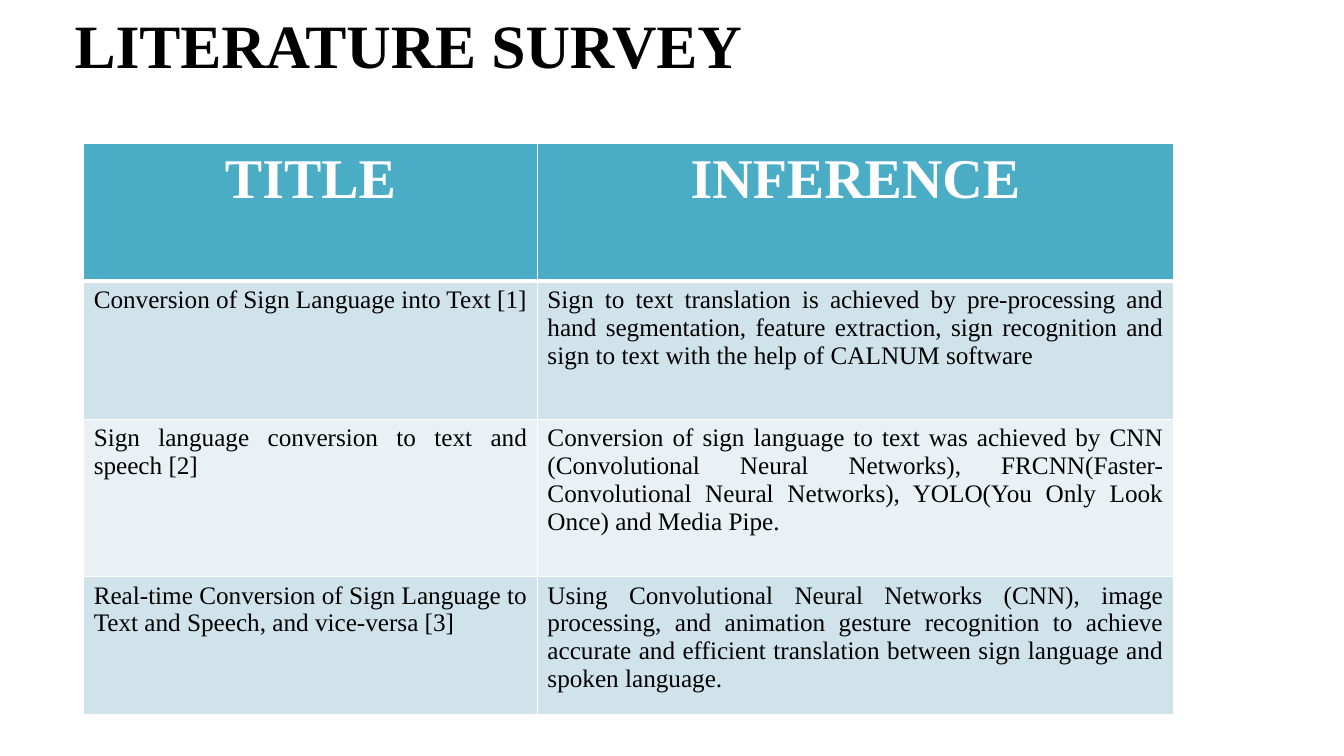
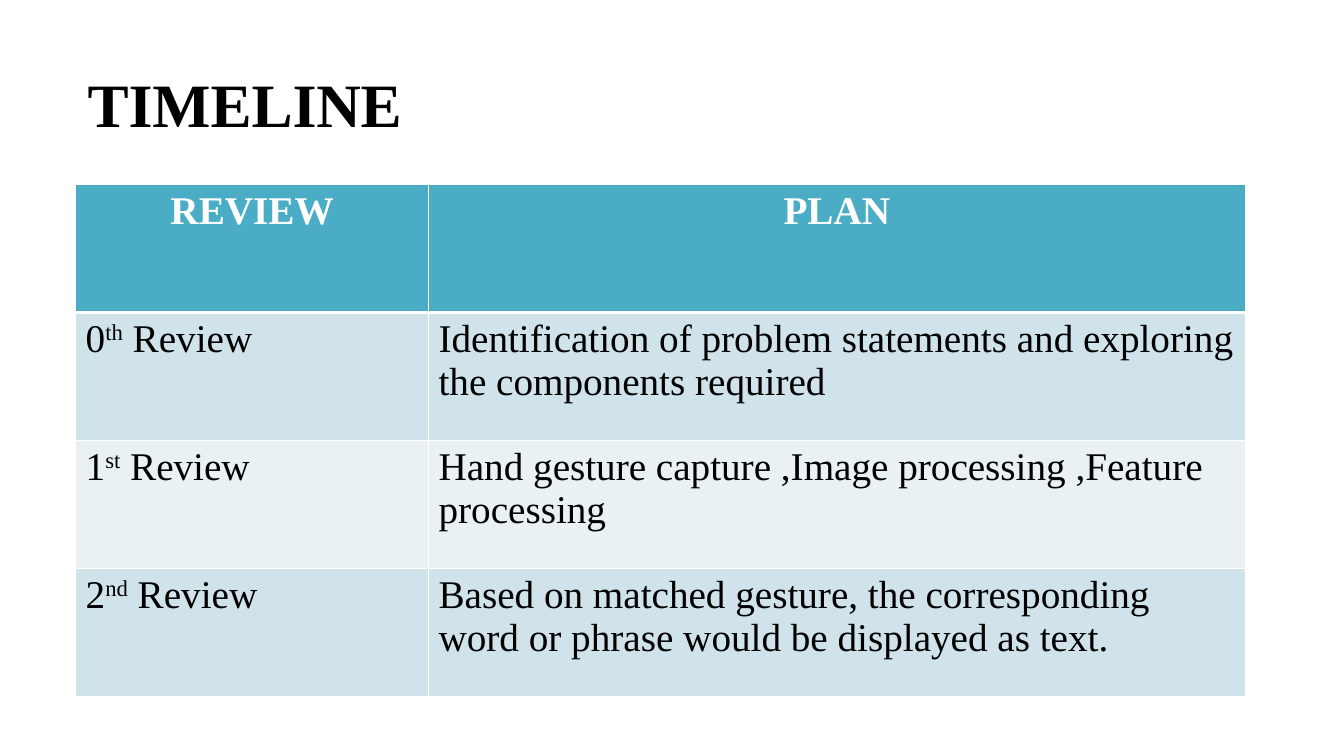
from pptx import Presentation
from pptx.dml.color import RGBColor
from pptx.enum import text
from pptx.oxml import parse_xml
from pptx.oxml.ns import nsdecls
from pptx.util import Inches, Pt

# Shared look
FONT = "Times New Roman"
BLACK = RGBColor(0x00, 0x00, 0x00)
WHITE = RGBColor(0xFF, 0xFF, 0xFF)
TEAL = RGBColor(0x4B, 0xAC, 0xC6)
BANDS = [RGBColor(0xD0, 0xE3, 0xEA), RGBColor(0xE9, 0xF1, 0xF5)]
TITLE_FORMAT = {"name": FONT, "size": Pt(44), "bold": True}
HEADER_FORMAT = {"name": FONT, "bold": True}
BODY_FORMAT = {"name": FONT, "bold": False}
LEFT, CENTER, JUSTIFY = (
    text.PP_ALIGN.LEFT, text.PP_ALIGN.CENTER, text.PP_ALIGN.JUSTIFY)

# Content; ^ marks the start and end of a superscript
SURVEY_ROWS = [
    ("TITLE", "INFERENCE"),
    ("Conversion of Sign Language into Text [1]",
     "Sign to text translation is achieved by pre-processing and hand "
     "segmentation, feature extraction, sign recognition and sign to text "
     "with the help of CALNUM software"),
    ("Sign language conversion to text and speech [2]",
     "Conversion of sign language to text was achieved by CNN (Convolutional "
     "Neural Networks), FRCNN(Faster-Convolutional Neural Networks), "
     "YOLO(You Only Look Once) and Media Pipe."),
    ("Real-time Conversion of Sign Language to Text and Speech, and "
     "vice-versa [3]",
     "Using Convolutional Neural Networks (CNN), image processing, and "
     "animation gesture recognition to achieve accurate and efficient "
     "translation between sign language and spoken language."),
]
TIMELINE_ROWS = [
    ("REVIEW", "PLAN"),
    ("0^th^ Review",
     "Identification of problem statements and exploring the components "
     "required"),
    ("1^st^ Review",
     "Hand gesture capture ,Image processing ,Feature processing"),
    ("2^nd^ Review",
     "Based on matched gesture, the corresponding word or phrase would be "
     "displayed as text."),
]


def write(paragraph, words, color, formats):
    """Fill a paragraph, raising every part between ^ marks."""
    for i, part in enumerate(words.split("^")):
        run = paragraph.add_run()
        run.text = part
        for name, value in formats.items():
            setattr(run.font, name, value)
        run.font.color.rgb = color
        if i % 2:
            run.font._element.set("baseline", "30000")


def add_title(slide, words, left, top):
    box = slide.shapes.add_textbox(
        Inches(left), Inches(top), Inches(9), Inches(0.7))
    frame = box.text_frame
    frame.word_wrap = True
    for side in ("left", "top", "right", "bottom"):
        setattr(frame, f"margin_{side}", 0)
    write(frame.paragraphs[0], words, BLACK, TITLE_FORMAT)
    for run in frame.paragraphs[0].runs:
        run.font._element.set("spc", "-10")


def set_borders(cell, top, bottom):
    """Draw white cell borders; top and bottom widths are in points."""
    for side, width in {"L": 1, "R": 1, "T": top, "B": bottom}.items():
        cell._tc.get_or_add_tcPr().append(parse_xml(
            f'<a:ln{side} {nsdecls("a")} w="{Pt(width)}"><a:solidFill>'
            f'<a:srgbClr val="{WHITE}"/></a:solidFill></a:ln{side}>'))


def add_grid(slide, rows, left, top, widths, heights,
             header_size, body_size, body_align):
    table = slide.shapes.add_table(
        len(rows), len(widths), Inches(left), Inches(top),
        Inches(sum(widths)), Inches(sum(heights))).table
    table.horz_banding = False
    for column, width in zip(table.columns, widths):
        column.width = Inches(width)
    for r, (row, height) in enumerate(zip(rows, heights)):
        table.rows[r].height = Inches(height)
        header = r == 0
        for c, words in enumerate(row):
            cell = table.cell(r, c)
            set_borders(cell, 3 if r == 1 else 1, 3 if header else 1)
            cell.fill.solid()
            cell.fill.fore_color.rgb = TEAL if header else BANDS[(r - 1) % 2]
            paragraph = cell.text_frame.paragraphs[0]
            paragraph.alignment = CENTER if header else body_align
            formats = HEADER_FORMAT if header else BODY_FORMAT
            size = Pt(header_size if header else body_size)
            write(paragraph, words, WHITE if header else BLACK,
                  {**formats, "size": size})


def main():
    deck = Presentation()
    deck.slide_width, deck.slide_height = Inches(13.33), Inches(7.5)
    blank = deck.slide_layouts[6]

    # Literature survey
    survey = deck.slides.add_slide(blank)
    add_title(survey, "LITERATURE SURVEY", 0.74, 0.07)
    add_grid(survey, SURVEY_ROWS, 0.83, 1.42, [4.5, 6.31],
             [1.37, 1.37, 1.56, 1.37], 40, 18, JUSTIFY)

    # Timeline
    timeline = deck.slides.add_slide(blank)
    add_title(timeline, "TIMELINE", 0.87, 0.65)
    add_grid(timeline, TIMELINE_ROWS, 0.75, 1.83, [3.5, 8.1],
             [1.27] * 4, 28, 28, LEFT)

    deck.save("out.pptx")


if __name__ == "__main__":
    main()
